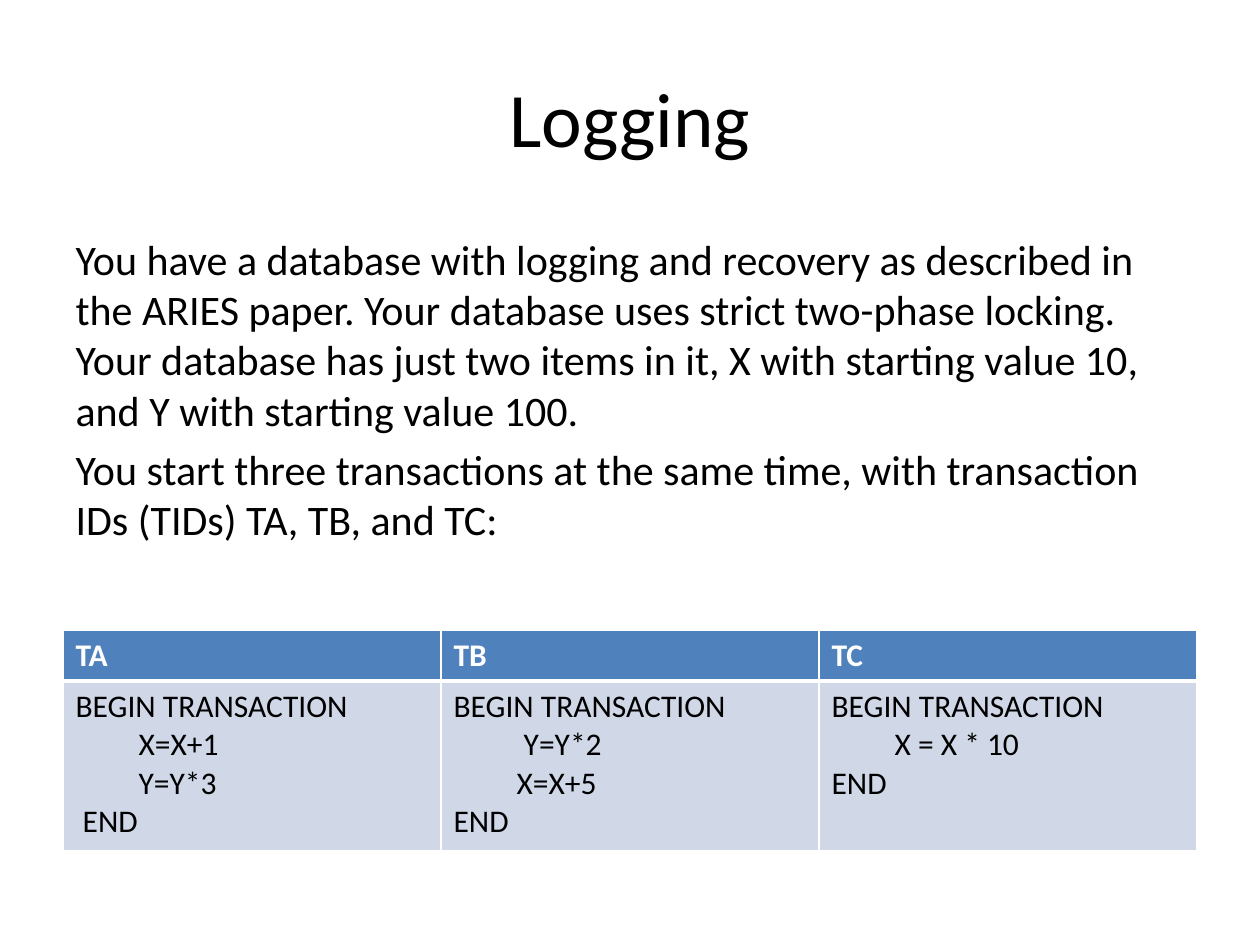
import pptx
import pptx.dml.color
import pptx.enum.text
import pptx.oxml
import pptx.oxml.ns
import pptx.util

BLACK = pptx.dml.color.RGBColor(0x00, 0x00, 0x00)
WHITE = pptx.dml.color.RGBColor(0xFF, 0xFF, 0xFF)
HEADER_BLUE = pptx.dml.color.RGBColor(0x4F, 0x81, 0xBD)
PALE_BLUE = pptx.dml.color.RGBColor(0xD0, 0xD8, 0xE8)
TAB_STOP = pptx.util.Inches(0.5)

QUESTION = [
    "You have a database with logging and recovery as described in the ARIES paper. "
    "Your database uses strict two-phase locking. Your database has just two items in it, "
    "X with starting value 10, and Y with starting value 100.",
    "You start three transactions at the same time, with transaction IDs (TIDs) TA, TB, and TC:",
]
TRANSACTIONS = {
    "TA": ["BEGIN TRANSACTION", "\tX=X+1", "\tY=Y*3", " END"],
    "TB": ["BEGIN TRANSACTION", "\t Y=Y*2", "\tX=X+5", "END"],
    "TC": ["BEGIN TRANSACTION", "\tX = X * 10", "END"],
}


def add_xml(parent, tag, **attributes):
    """Append a drawing element with attributes and return it."""
    child = pptx.oxml.parse_xml(f"<a:{tag} {pptx.oxml.ns.nsdecls('a')}/>")
    for key, value in attributes.items():
        child.set(key, str(value))
    parent.append(child)
    return child


def write(frame, lines, size, color=BLACK, bold=False, align=None, gap=0, plain=False, tab=None):
    """Fill a text frame with one formatted paragraph per line."""
    for index, line in enumerate(lines):
        paragraph = frame.paragraphs[0] if index == 0 else frame.add_paragraph()
        properties = paragraph._p.get_or_add_pPr()
        if plain:
            properties.set("marL", "0")
            properties.set("indent", "0")
            add_xml(properties, "buNone")
        if tab:
            add_xml(add_xml(properties, "tabLst"), "tab", pos=int(tab), algn="l")
        paragraph.space_before = pptx.util.Pt(gap if index else 0)
        if align is not None:
            paragraph.alignment = align
        run = paragraph.add_run()
        run.text = line
        run.font.name = "Calibri"
        run.font.size = pptx.util.Pt(size)
        run.font.bold = bold
        run.font.color.rgb = color


def place(shape, box):
    """Move a shape to a box of left, top, width and height."""
    shape.left, shape.top, shape.width, shape.height = box


def style_cell(cell, fill, top, bottom):
    """Give a cell its fill and white borders."""
    properties = cell._tc.get_or_add_tcPr()
    for side, width in {"lnL": 1, "lnR": 1, "lnT": top, "lnB": bottom}.items():
        border = add_xml(properties, side, w=int(pptx.util.Pt(width)))
        add_xml(add_xml(border, "solidFill"), "srgbClr", val=WHITE)
    cell.fill.solid()
    cell.fill.fore_color.rgb = fill


def build_heading(slide, box):
    """Place the centred slide title."""
    heading = slide.shapes.title
    place(heading, box)
    heading.text_frame.vertical_anchor = pptx.enum.text.MSO_ANCHOR.MIDDLE
    write(heading.text_frame, ["Logging"], 44, align=pptx.enum.text.PP_ALIGN.CENTER)


def build_question(slide, box):
    """Place the unbulleted question text."""
    question = slide.placeholders[1]
    place(question, box)
    write(question.text_frame, QUESTION, 24, gap=4.8, plain=True)


def build_transactions(slide, box):
    """Place the table with one column for each transaction."""
    table = slide.shapes.add_table(2, len(TRANSACTIONS), *box).table
    header_height = pptx.util.Inches(0.4)
    table.rows[0].height = header_height
    table.rows[1].height = box[3] - header_height
    for column, (name, steps) in enumerate(TRANSACTIONS.items()):
        header, body = table.cell(0, column), table.cell(1, column)
        style_cell(header, HEADER_BLUE, top=1, bottom=3)
        style_cell(body, PALE_BLUE, top=3, bottom=1)
        write(header.text_frame, [name], 18, color=WHITE, bold=True)
        write(body.text_frame, steps, 18, tab=TAB_STOP)


def main():
    """Build the slide and save it."""
    deck = pptx.Presentation()
    deck.slide_width, deck.slide_height = pptx.util.Inches(10), pptx.util.Inches(7.5)
    slide = deck.slides.add_slide(deck.slide_layouts[1])

    def band(top, height):
        """Return a box across the content width, in shares of the slide."""
        return (int(deck.slide_width * 0.05), int(deck.slide_height * top),
                int(deck.slide_width * 0.9), int(deck.slide_height * height))

    build_heading(slide, band(0.04, 1 / 6))
    build_question(slide, band(0.24, 0.66))
    build_transactions(slide, band(2 / 3, 0.7 / 3))
    deck.save("out.pptx")


if __name__ == "__main__":
    main()
